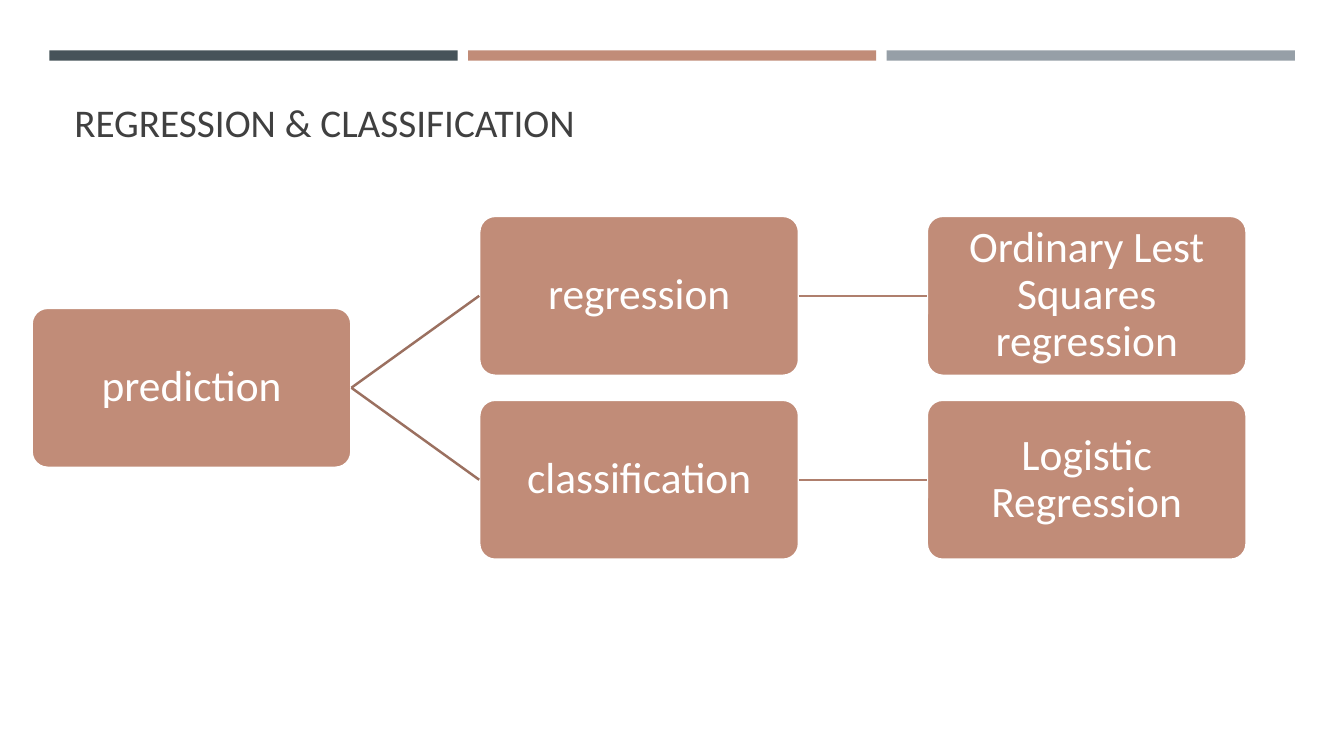
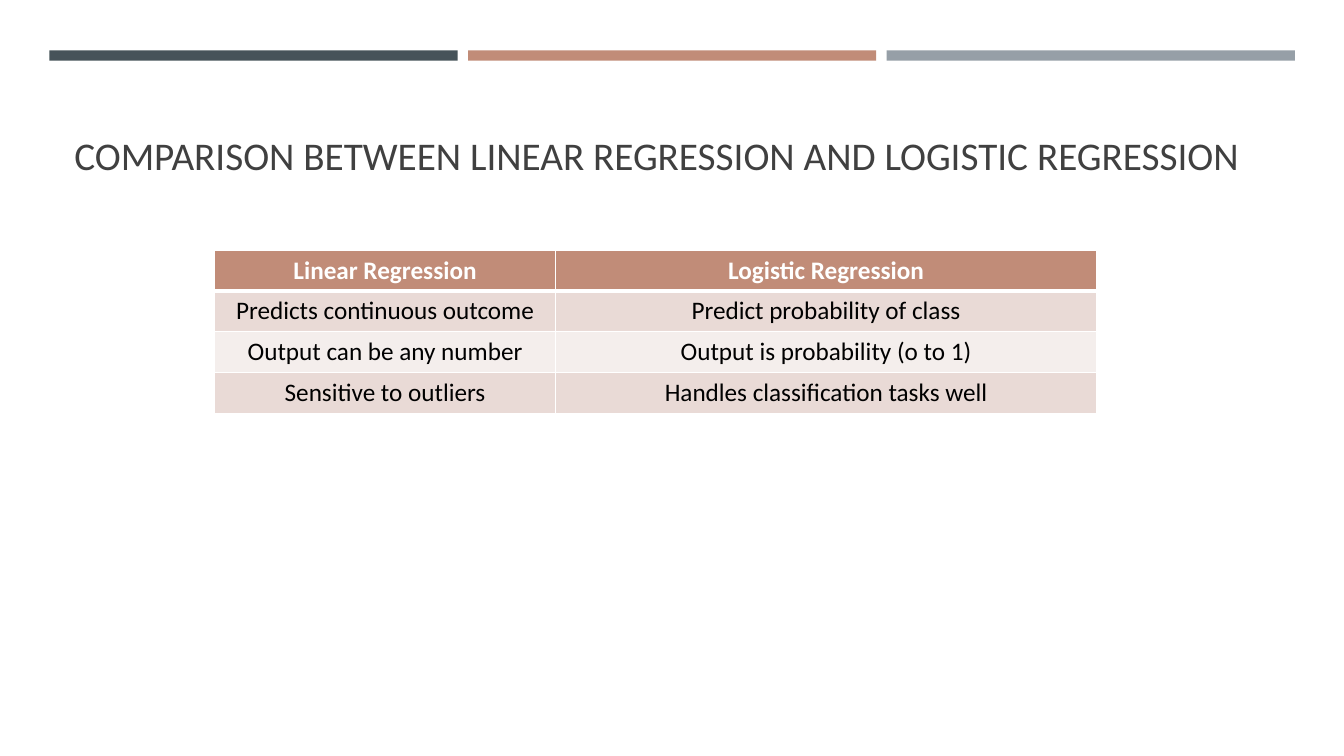
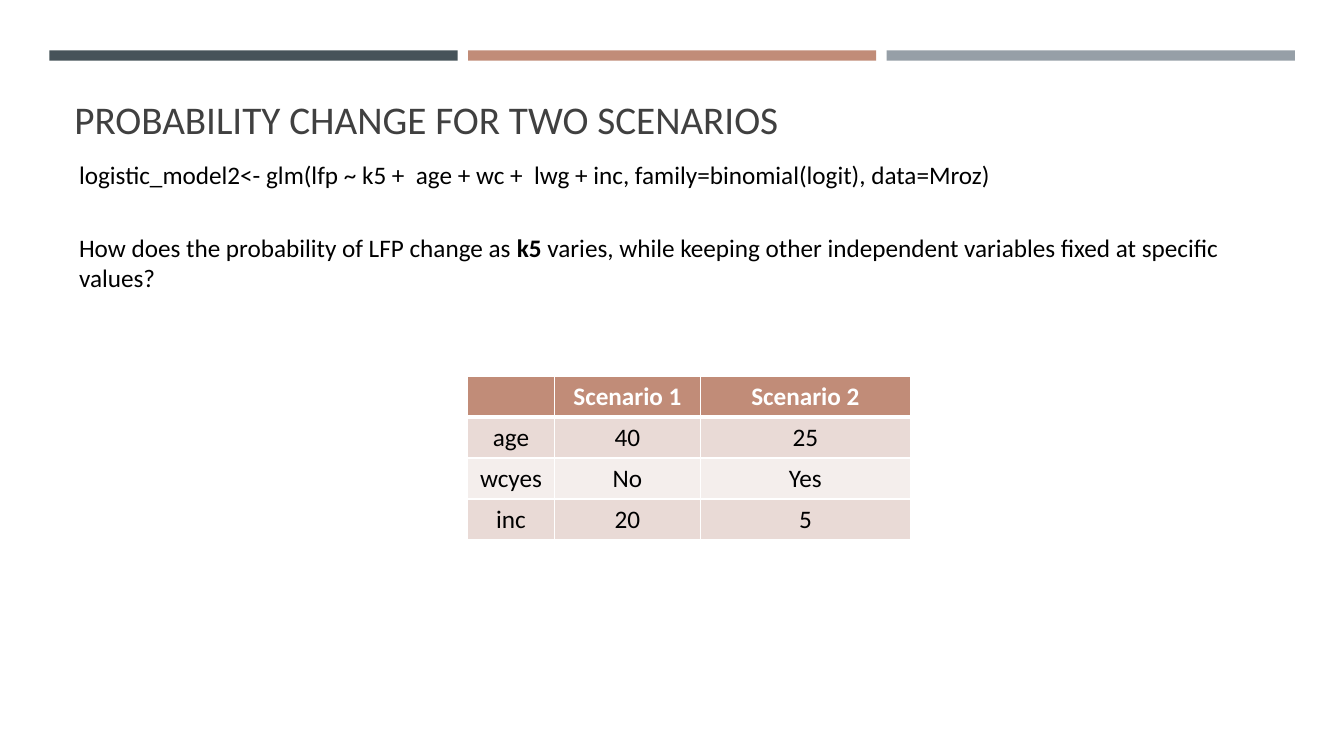
import lxml.etree
import pptx
import pptx.dml.color
import pptx.enum.shapes
import pptx.enum.text
import pptx.oxml
import pptx.oxml.ns
import pptx.util

Pt = pptx.util.Pt
RGBColor = pptx.dml.color.RGBColor
Shape = pptx.enum.shapes.MSO_SHAPE
Anchor = pptx.enum.text.MSO_ANCHOR
Align = pptx.enum.text.PP_ALIGN
qn = pptx.oxml.ns.qn

FONT = "Calibri"
SLATE = RGBColor(0x46, 0x53, 0x59)
CLAY = RGBColor(0xC1, 0x8C, 0x78)
STEEL = RGBColor(0x96, 0x9F, 0xA7)
CHARCOAL = RGBColor(0x40, 0x40, 0x40)
WHITE = RGBColor(0xFF, 0xFF, 0xFF)
BLACK = RGBColor(0, 0, 0)
ROSE = RGBColor(0xE9, 0xDA, 0xD6)
PALE_ROSE = RGBColor(0xF4, 0xEE, 0xEC)
BRANCH = RGBColor(0x9B, 0x70, 0x60)
LINK = RGBColor(0xAF, 0x7F, 0x6D)

BAND_LEFT, BAND_TOP, BAND_WIDTH, BAND_HEIGHT, BAND_PITCH = 35.3, 36, 291.6, 7.4, 299
TITLE_LEFT, TITLE_WIDTH = 46, 868
ROW_HEIGHT = 29.2


def style_para(para, size, color, align=Align.LEFT, bold=False):
    para.alignment = align
    para.font.name = FONT
    para.font.size = Pt(size)
    para.font.color.rgb = color
    para.font.bold = bold


def add_text(page, left, top, width, height, spans, size=18, color=BLACK):
    box = page.shapes.add_textbox(Pt(left), Pt(top), Pt(width), Pt(height))
    box.text_frame.word_wrap = True
    para = box.text_frame.paragraphs[0]
    style_para(para, size, color)
    for text, bold in spans:
        span = para.add_run()
        span.text = text
        if bold:
            span.font.bold = True
    return box


def add_page(deck, title, title_top, title_height):
    page = deck.slides.add_slide(deck.slide_layouts[6])
    for index, color in enumerate((SLATE, CLAY, STEEL)):
        band = page.shapes.add_shape(
            Shape.RECTANGLE, Pt(BAND_LEFT + index * BAND_PITCH), Pt(BAND_TOP),
            Pt(BAND_WIDTH), Pt(BAND_HEIGHT))
        band.shadow.inherit = False
        band.fill.solid()
        band.fill.fore_color.rgb = color
        band.line.fill.background()
    heading = add_text(page, TITLE_LEFT, title_top, TITLE_WIDTH, title_height,
                       [(title, False)], 28, CHARCOAL)
    heading.text_frame.vertical_anchor = Anchor.BOTTOM
    heading.text_frame.margin_bottom = Pt(2)
    return page


def add_node(page, left, top, width, height, text):
    node = page.shapes.add_shape(
        Shape.ROUNDED_RECTANGLE, Pt(left), Pt(top), Pt(width), Pt(height))
    node.adjustments[0] = 0.1
    node.shadow.inherit = False
    node.fill.solid()
    node.fill.fore_color.rgb = CLAY
    node.line.color.rgb = WHITE
    node.line.width = Pt(1.75)
    frame = node.text_frame
    frame.word_wrap = True
    frame.vertical_anchor = Anchor.MIDDLE
    frame.margin_left = frame.margin_right = Pt(4.8)
    frame.margin_top = frame.margin_bottom = Pt(4.8)
    frame.text = text
    para = frame.paragraphs[0]
    para.line_spacing = 0.9
    style_para(para, 31, WHITE, Align.CENTER)
    return node


def join_nodes(page, start, end, color):
    line = page.shapes.add_connector(
        pptx.enum.shapes.MSO_CONNECTOR.STRAIGHT, 0, 0, 0, 0)
    line.begin_connect(start, 3)
    line.end_connect(end, 1)
    line.line.color.rgb = color
    line.line.width = Pt(1.75)
    lxml.etree.SubElement(line._element.spPr, qn("a:effectLst"))


def add_tree(page, left, top, root_text, branches):
    width, height = 228.4, 114.2
    column_pitch, row_pitch = 319.7, 131.4
    root_top = top + row_pitch * (len(branches) - 1) / 2
    root = add_node(page, left, root_top, width, height, root_text)
    for row, (kind, method) in enumerate(branches):
        row_top = top + row * row_pitch
        kind_node = add_node(page, left + column_pitch, row_top, width, height, kind)
        method_node = add_node(page, left + 2 * column_pitch, row_top, width, height, method)
        join_nodes(page, root, kind_node, BRANCH)
        join_nodes(page, kind_node, method_node, LINK)


def set_borders(cell, top_width, bottom_width):
    properties = cell._tc.get_or_add_tcPr()
    sides = (("lnL", 1), ("lnR", 1), ("lnT", top_width), ("lnB", bottom_width))
    for index, (side, width) in enumerate(sides):
        border = lxml.etree.Element(qn("a:" + side), w=str(Pt(width)))
        fill = lxml.etree.SubElement(border, qn("a:solidFill"))
        lxml.etree.SubElement(fill, qn("a:srgbClr"), val=str(WHITE))
        properties.insert(index, border)


def add_grid(page, left, top, widths, rows):
    table = page.shapes.add_table(
        len(rows), len(widths), Pt(left), Pt(top),
        Pt(sum(widths)), Pt(ROW_HEIGHT * len(rows))).table
    for column, width in zip(table.columns, widths):
        column.width = Pt(width)
    for row, texts in enumerate(rows):
        table.rows[row].height = Pt(ROW_HEIGHT)
        header = row == 0
        for column, text in enumerate(texts):
            cell = table.cell(row, column)
            cell.fill.solid()
            cell.fill.fore_color.rgb = CLAY if header else ROSE if row % 2 else PALE_ROSE
            set_borders(cell, 3 if row == 1 else 1, 3 if header else 1)
            cell.text = text
            style_para(cell.text_frame.paragraphs[0], 18,
                       WHITE if header else BLACK, Align.CENTER, header)


def build_methods(deck):
    page = add_page(deck, "REGRESSION & CLASSIFICATION", 55.4, 50.4)
    add_tree(page, 22.6, 154.2, "prediction", [
        ("regression", "Ordinary Lest Squares regression"),
        ("classification", "Logistic Regression"),
    ])


def build_comparison(deck):
    page = add_page(
        deck, "COMPARISON BETWEEN LINEAR REGRESSION AND LOGISTIC REGRESSION", 74.9, 54.7)
    add_grid(page, 153.4, 178.6, (243.4, 386.6), [
        ("Linear Regression", "Logistic Regression"),
        ("Predicts continuous outcome", "Predict probability of class"),
        ("Output can be any number", "Output is probability (o to 1)"),
        ("Sensitive to outliers", "Handles classification tasks well"),
    ])


def build_scenarios(deck):
    page = add_page(deck, "PROBABILITY CHANGE FOR TWO SCENARIOS", 55.4, 48.2)
    add_grid(page, 334, 268.8, (62, 104.4, 149.8), [
        ("", "Scenario 1", "Scenario 2"),
        ("age", "40", "25"),
        ("wcyes", "No", "Yes"),
        ("inc", "20", "5"),
    ])
    add_text(page, 49.4, 110.2, 794, 29, [
        ("logistic_model2<- glm(lfp ~ k5 +  age + wc +  lwg + inc, "
         "family=binomial(logit), data=Mroz)", False)])
    add_text(page, 49.4, 162.2, 842, 51, [
        ("How does the probability of LFP change as ", False),
        ("k5", True),
        (" varies, while keeping other independent variables fixed at specific values?", False),
    ])


def main():
    deck = pptx.Presentation()
    deck.slide_width, deck.slide_height = Pt(960), Pt(540)
    build_methods(deck)
    build_comparison(deck)
    build_scenarios(deck)
    deck.save("out.pptx")


if __name__ == "__main__":
    main()
